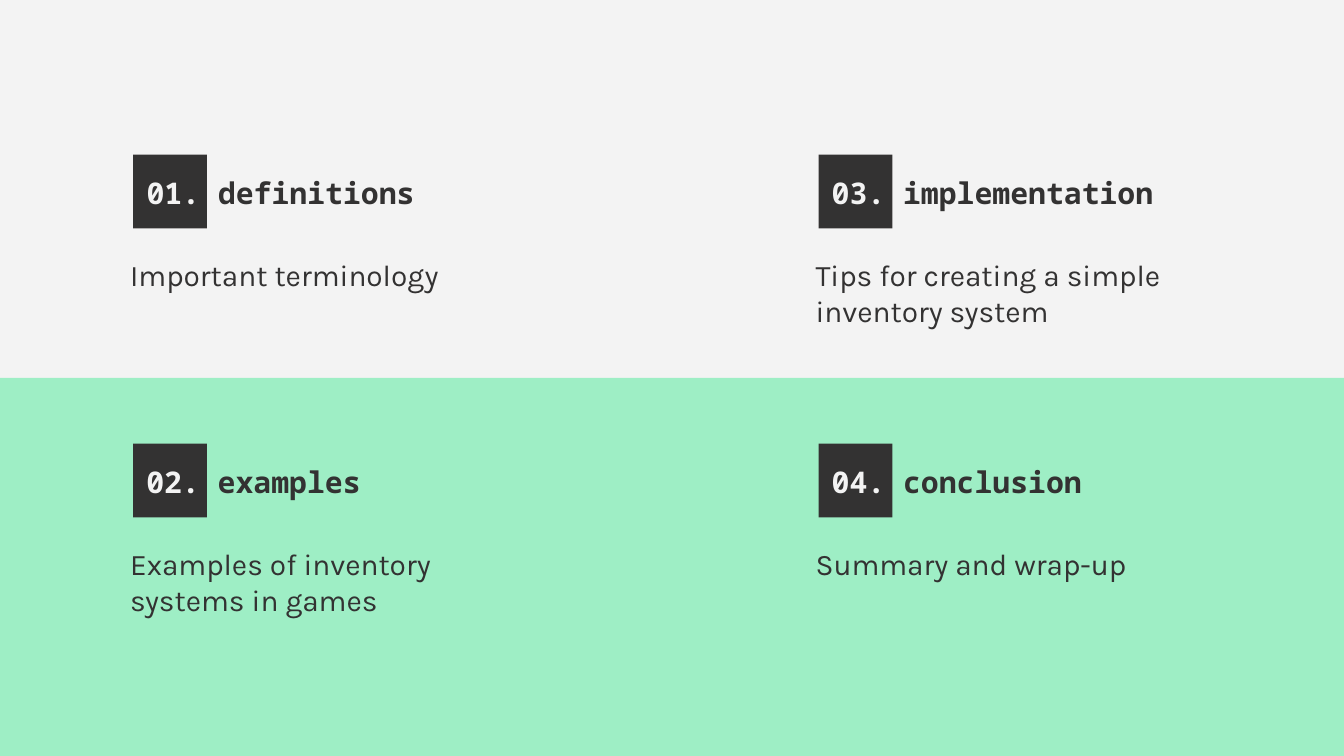
from pptx import Presentation
from pptx.dml.color import RGBColor
from pptx.enum.shapes import MSO_SHAPE
from pptx.enum.text import MSO_ANCHOR, MSO_AUTO_SIZE, PP_ALIGN
from pptx.util import Inches, Pt

PALE = RGBColor(0xF3, 0xF3, 0xF3)
MINT = RGBColor(0x9E, 0xEE, 0xC5)
DARK = RGBColor(0x33, 0x32, 0x32)

WIDE = 10
HIGH = WIDE * 9 / 16
LEFT, TOP = 0.99, 1.15
COL_STEP, ROW_STEP = 5.1, 2.15
TILE = 0.55
HEAD_WIDTHS = (3.71, 3.13)

HEAD = {"name": "Noto Sans Mono", "size": Pt(16), "bold": True}
BODY = {"name": "Karla", "size": Pt(16), "bold": False}
FRAME = {
    "word_wrap": True,
    "auto_size": MSO_AUTO_SIZE.NONE,
    "margin_left": Inches(0.1),
    "margin_right": Inches(0.1),
    "margin_top": Inches(0.1),
    "margin_bottom": Inches(0.1),
}

TOPICS = (
    ("definitions", "Important terminology"),
    ("examples", "Examples of inventory systems in games"),
    ("implementation", "Tips for creating a simple inventory system"),
    ("conclusion", "Summary and wrap-up"),
)


def apply(target, values):
    for key, value in values.items():
        setattr(target, key, value)


def add_block(slide, color, *place):
    block = slide.shapes.add_shape(MSO_SHAPE.RECTANGLE, *map(Inches, place))
    block.shadow.inherit = False
    block.fill.solid()
    block.fill.fore_color.rgb = color
    block.line.fill.background()


def add_box(slide):
    return slide.shapes.add_textbox(0, 0, 0, 0)


def fill_box(box, place, anchor, style, pieces):
    apply(box, dict(zip(("left", "top", "width", "height"), map(Inches, place))))
    apply(box.text_frame, FRAME | {"vertical_anchor": anchor})
    line = box.text_frame.paragraphs[0]
    line.alignment = PP_ALIGN.LEFT
    for text, color in pieces:
        run = line.add_run()
        run.text = text
        apply(run.font, style)
        run.font.color.rgb = color


def add_topic(slide, index, name, detail):
    col, row = divmod(index, 2)
    left, top = LEFT + col * COL_STEP, TOP + row * ROW_STEP
    add_block(slide, DARK, left, top, TILE, TILE)

    head = add_box(slide) if index else slide.shapes.title
    head.element.getparent().append(head.element)
    fill_box(head, (left, top + 0.13, HEAD_WIDTHS[col], 0.3), MSO_ANCHOR.MIDDLE,
             HEAD, ((f"{index + 1:02}.", PALE), (f" {name}", DARK)))
    fill_box(add_box(slide), (left - 0.12, top + 0.66, 2.93, 0.69),
             MSO_ANCHOR.TOP, BODY, ((detail, DARK),))


def main():
    deck = Presentation()
    deck.slide_width, deck.slide_height = Inches(WIDE), Inches(HIGH)
    slide = deck.slides.add_slide(deck.slide_layouts[5])
    slide.background.fill.solid()
    slide.background.fill.fore_color.rgb = PALE
    add_block(slide, MINT, 0, HIGH / 2, WIDE, HIGH / 2)
    for index, (name, detail) in enumerate(TOPICS):
        add_topic(slide, index, name, detail)
    deck.save("out.pptx")


if __name__ == "__main__":
    main()
